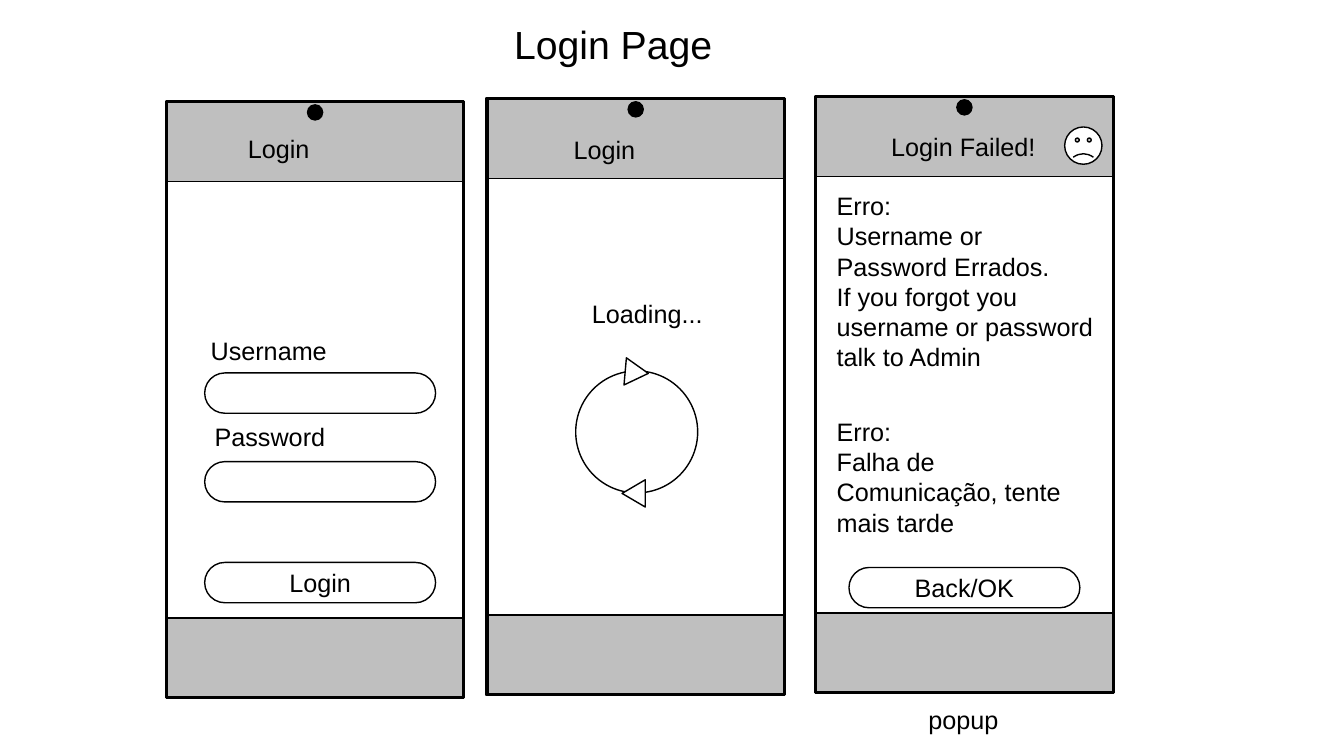
from dataclasses import dataclass

from pptx import Presentation
from pptx import util as u
from pptx.dml.color import RGBColor
from pptx.enum import shapes, text


@dataclass(frozen=True)
class Theme:
    ink: str = "000000"
    paper: str = "FFFFFF"
    bar: str = "BFBFBF"
    font: str = "Arial"
    title: float = 28
    body: float = 18
    thin: float = 1
    thick: float = 2.25


THEME = Theme()
KIND = shapes.MSO_SHAPE
ALIGN = text.PP_ALIGN
WIDTH, HEIGHT, BAR = 2.95, 5.91, 0.79  # phone body and its bars
DOT = 0.15


def style(item, values):
    for name, value in values.items():
        setattr(item, name, value)


def write(frame, lines, size=THEME.body, align=ALIGN.LEFT):
    for i, line in enumerate(lines):
        para = frame.paragraphs[0] if i == 0 else frame.add_paragraph()
        para.alignment = align
        run = para.add_run()
        run.text = line
        style(run.font, {"name": THEME.font, "size": u.Pt(size)})
        run.font.color.rgb = RGBColor.from_string(THEME.ink)


def shape(parent, kind, box, fill=THEME.paper, line=THEME.thin, adj=(), turn=0):
    item = parent.add_shape(kind, *map(u.Inches, box))
    item.shadow.inherit = False
    if fill:
        item.fill.solid()
        item.fill.fore_color.rgb = RGBColor.from_string(fill)
    else:
        item.fill.background()
    item.line.color.rgb = RGBColor.from_string(THEME.ink)
    item.line.width = u.Pt(line)
    for i, value in enumerate(adj):
        item.adjustments[i] = value
    item.rotation = turn
    return item


def label(parent, box, *lines, size=THEME.body, align=ALIGN.LEFT, wrap=False):
    frame = parent.add_textbox(*map(u.Inches, box)).text_frame
    style(frame, {"word_wrap": wrap,
                  "auto_size": text.MSO_AUTO_SIZE.SHAPE_TO_FIT_TEXT})
    write(frame, lines, size, align)


def phone(parent, left, top):
    group = parent.add_group_shape().shapes
    body = (left, top, WIDTH, HEIGHT)
    shape(group, KIND.RECTANGLE, body, line=THEME.thick)
    for y in (top + HEIGHT - BAR, top):
        shape(group, KIND.RECTANGLE, (left, y, WIDTH, BAR), THEME.bar)
    shape(group, KIND.RECTANGLE, body, None, THEME.thick)
    camera = (left + (WIDTH - DOT) / 2, top + 0.03, DOT, DOT)
    shape(group, KIND.OVAL, camera, THEME.ink)


def pill(parent, left, top, caption=None):
    box = (left, top, 2.29, 0.4)
    item = shape(parent, KIND.ROUND_2_DIAG_RECTANGLE, box, adj=(0.5, 0.5))
    if caption:
        item.text_frame.vertical_anchor = text.MSO_ANCHOR.MIDDLE
        write(item.text_frame, [caption], align=ALIGN.CENTER)


def spinner(parent):
    group = parent.add_group_shape().shapes
    label(group, (5.77, 2.91, 1.3, 0.4), "Loading...", align=ALIGN.CENTER)
    shape(group, KIND.OVAL, (5.71, 3.68, 1.21, 1.21))
    for left, top, turn in ((6.18, 3.58, 95), (6.15, 4.78, 270)):
        shape(group, KIND.ISOSCELES_TRIANGLE, (left, top, 0.27, 0.23), turn=turn)


def main():
    deck = Presentation()
    style(deck, {"slide_width": u.Inches(13.33), "slide_height": u.Inches(7.5)})
    page = deck.slides.add_slide(deck.slide_layouts[6]).shapes

    label(page, (5, 0.15, 2.17, 0.57), "Login Page", size=THEME.title)

    # Login form
    phone(page, 1.65, 1.01)
    label(page, (2.36, 1.27, 0.81, 0.4), "Login")
    label(page, (1.99, 3.28, 1.35, 0.4), "Username")
    label(page, (2.03, 4.13, 1.3, 0.4), "Password")
    for top, caption in ((3.7, None), (4.58, None), (5.58, "Login")):
        pill(page, 2.03, top, caption)

    # Loading screen
    phone(page, 4.83, 0.98)
    label(page, (5.59, 1.28, 0.81, 0.4), "Login")
    spinner(page)

    # Failure popup
    phone(page, 8.09, 0.96)
    label(page, (8.74, 1.25, 1.63, 0.4), "Login Failed!")
    shape(page, KIND.SMILEY_FACE, (10.56, 1.26, 0.37, 0.37), adj=(-0.05,))
    label(page, (8.2, 1.84, 2.74, 2.2), "Erro:",
          "Username or Password Errados.",
          "If you forgot you username or password talk to Admin", wrap=True)
    label(page, (8.2, 4.08, 2.73, 1.3), "Erro:",
          "Falha de Comunicação, tente mais tarde", wrap=True)
    pill(page, 8.42, 5.63, "Back/OK")
    label(page, (9.11, 6.94, 0.9, 0.4), "popup")

    deck.save("out.pptx")


if __name__ == "__main__":
    main()
